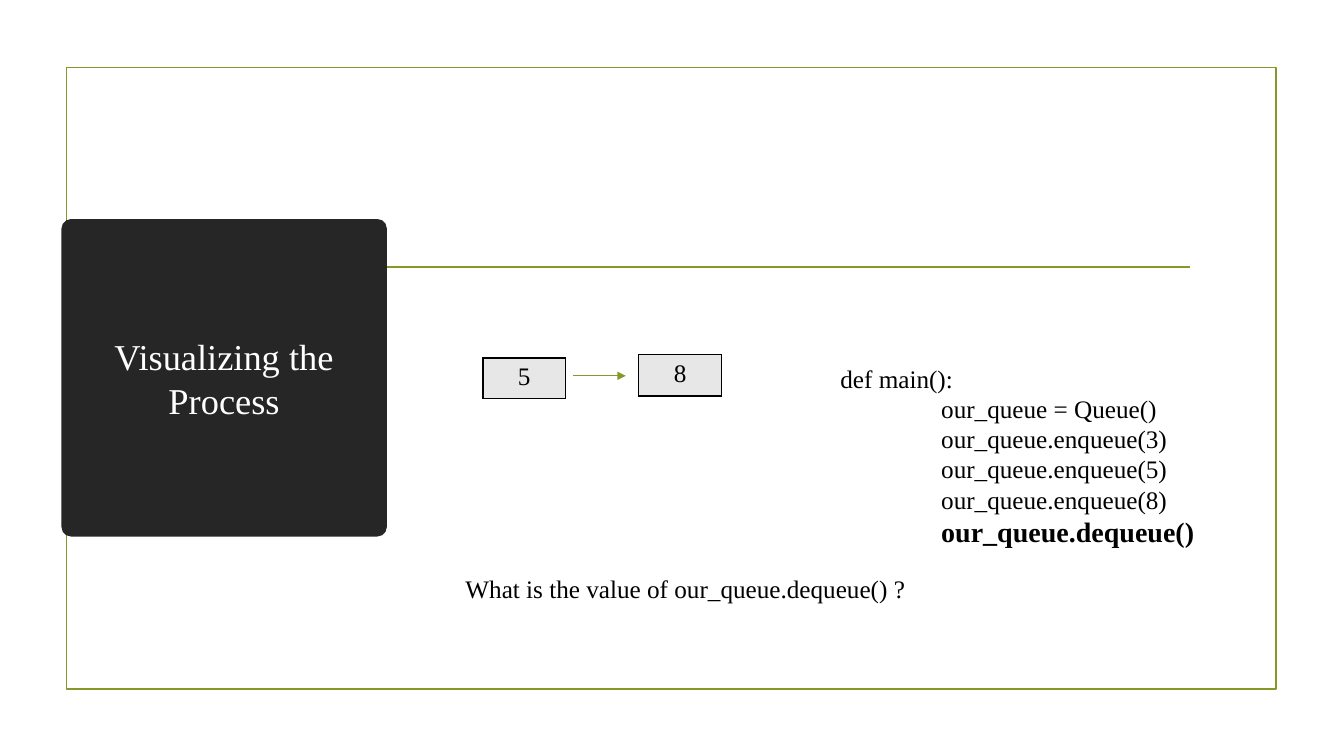
from lxml import etree
from pptx import Presentation
from pptx import util as u
from pptx.dml.color import RGBColor
from pptx.enum import shapes, text
from pptx.oxml import ns

COLORS = {"accent": "83992A", "dark": "262626", "light": "FFFFFF",
          "ink": "000000", "cell": "E7E7E7"}
FONT = "Times New Roman"


def rgb(name):
    return RGBColor.from_string(COLORS[name])


def cm(*lengths):
    return [u.Cm(length) for length in lengths]


class SlideBuilder:
    """Draws elements on one slide; all lengths are centimetres."""

    def __init__(self, prs):
        self.slide = prs.slides.add_slide(prs.slide_layouts[6])
        self.shapes = self.slide.shapes

    def add_words(self, p, words, size=18, color="ink", bold=False):
        r = p.add_run()
        r.text = words
        r.font.name = FONT
        r.font.size = u.Pt(size)
        r.font.bold = bold
        r.font.color.rgb = rgb(color)

    def frame(self, *box):
        sp = self.shapes.add_shape(shapes.MSO_SHAPE.RECTANGLE, *cm(*box))
        sp.shadow.inherit = False
        sp.fill.background()
        sp.line.color.rgb = rgb("accent")
        sp.line.width = u.Pt(1.25)

    def title(self, words, *box):
        sp = self.shapes.add_shape(shapes.MSO_SHAPE.ROUNDED_RECTANGLE, *cm(*box))
        sp.adjustments[0] = 0.03
        sp.shadow.inherit = False
        sp.fill.solid()
        sp.fill.fore_color.rgb = rgb("dark")
        sp.line.fill.background()
        tf = sp.text_frame
        tf.word_wrap = True
        tf.vertical_anchor = text.MSO_ANCHOR.MIDDLE
        p = tf.paragraphs[0]
        p.alignment = text.PP_ALIGN.CENTER
        self.add_words(p, words, 26, "light")

    def line(self, x1, x2, y, width, arrow=False):
        """Horizontal line, with an arrowhead at x2 if asked for."""
        sp = self.shapes.add_connector(shapes.MSO_CONNECTOR.STRAIGHT, *cm(x1, y, x2, y))
        sp.line.color.rgb = rgb("accent")
        sp.line.width = u.Pt(width)
        spPr = sp._element.spPr
        if arrow:
            etree.SubElement(spPr.find(ns.qn("a:ln")), ns.qn("a:tailEnd"), type="triangle")
        etree.SubElement(spPr, ns.qn("a:effectLst"))

    def textbox(self, lines, *box):
        """Lines are (words, indent, size, bold)."""
        tf = self.shapes.add_textbox(*cm(*box)).text_frame
        tf.word_wrap = True
        for i, (words, indent, size, bold) in enumerate(lines):
            p = tf.add_paragraph() if i else tf.paragraphs[0]
            p._p.get_or_add_pPr().set("marL", str(u.Cm(indent)))
            self.add_words(p, words, size, bold=bold)

    def node(self, value, *box):
        """Queue element: a bordered table of one cell."""
        table = self.shapes.add_table(1, 1, *cm(*box)).table
        table.first_row = table.horz_banding = False
        cell = table.cell(0, 0)
        cell.fill.solid()
        cell.fill.fore_color.rgb = rgb("cell")
        p = cell.text_frame.paragraphs[0]
        p.alignment = text.PP_ALIGN.CENTER
        self.add_words(p, value)
        tcPr = cell._tc.get_or_add_tcPr()
        for i, side in enumerate("LRTB"):
            ln = etree.Element(ns.qn(f"a:ln{side}"), w=str(u.Pt(1)))
            fill = etree.SubElement(ln, ns.qn("a:solidFill"))
            etree.SubElement(fill, ns.qn("a:srgbClr"), val=COLORS["ink"])
            tcPr.insert(i, ln)


def main():
    prs = Presentation()
    prs.slide_width, prs.slide_height = u.Cm(33.87), u.Cm(19.05)
    s = SlideBuilder(prs)

    s.frame(1.68, 1.7, 30.48, 15.67)
    s.line(3.89, 30, 6.73, 1.25)
    s.title("Visualizing the Process", 1.55, 5.52, 8.2, 8)

    calls = ["our_queue = Queue()"] + [f"our_queue.enqueue({n})" for n in (3, 5, 8)]
    code = [("def main():", 0, 18, False)]
    code += [(call, 2.54, 18, False) for call in calls]
    code += [("our_queue.dequeue()", 2.54, 20, True)]
    s.textbox(code, 20.93, 9.02, 10.31, 4.95)
    s.textbox([("What is the value of our_queue.dequeue() ?", 0, 18, False)],
              11.48, 14.33, 15.72, 1.02)

    s.node("5", 12.17, 9.02, 2.08, 1.02)
    s.node("8", 16.1, 8.94, 2.08, 1.04)
    s.line(14.45, 15.77, 9.47, 0.75, arrow=True)

    prs.save("out.pptx")


if __name__ == "__main__":
    main()
